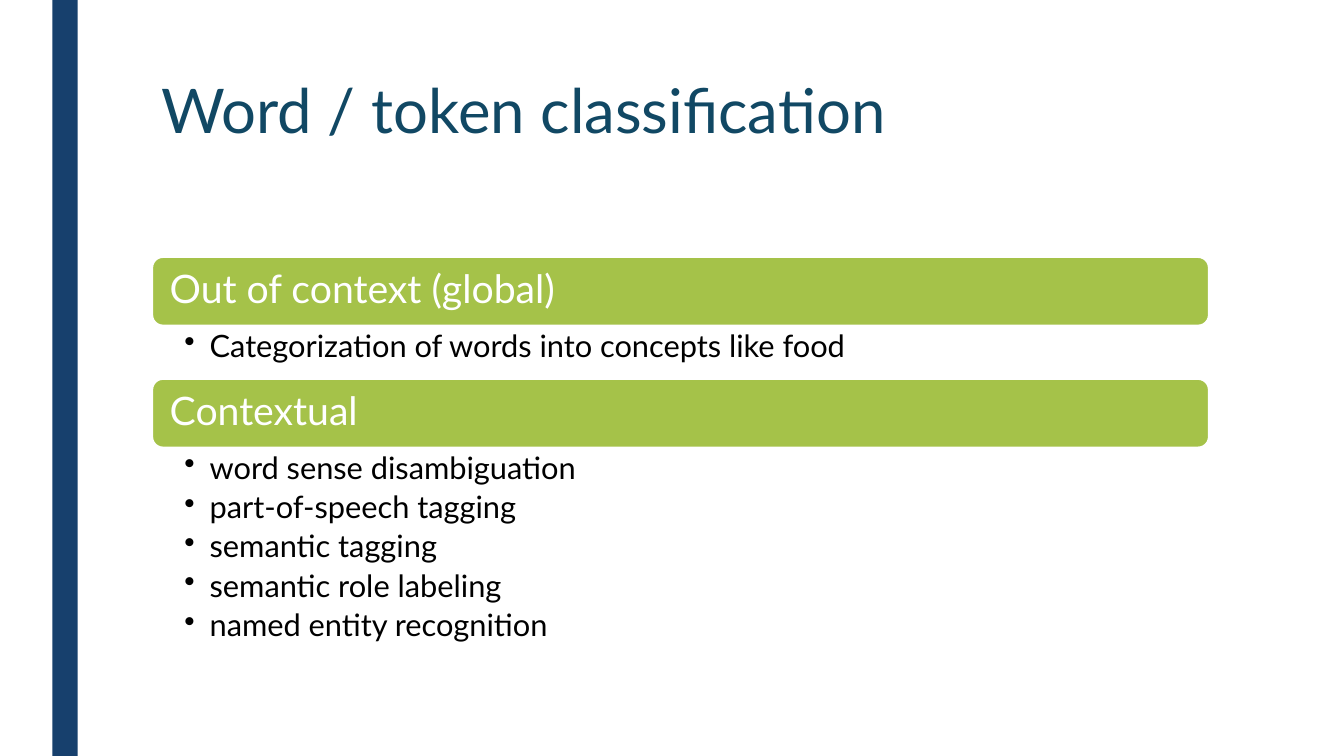
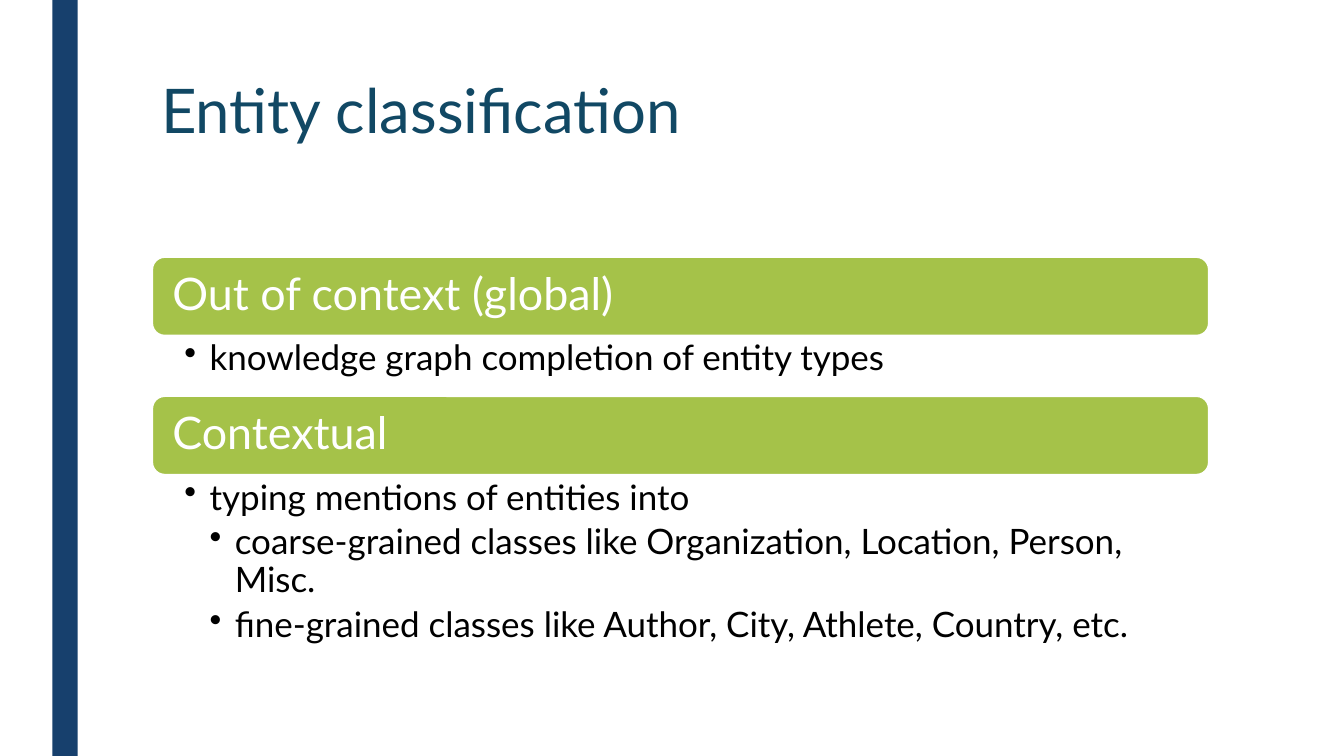
from dataclasses import dataclass

from lxml.etree import SubElement
from pptx import Presentation
from pptx.dml.color import RGBColor
from pptx.enum.shapes import MSO_SHAPE
from pptx.enum.text import MSO_ANCHOR, PP_ALIGN
from pptx.oxml.ns import qn
from pptx.util import Inches, Pt

# Shared style
FONT = "Lato"
NAVY, TEAL, GREEN = "17406D", "114864", "A5C249"
WHITE, BLACK = "FFFFFF", "000000"
LEFT, WIDTH = 1.5, 10.5
SECTIONS_TOP = 2.54
BULLET_INDENT = 0.25


@dataclass(frozen=True)
class Bullet:
    text: str
    level: int = 1


@dataclass(frozen=True)
class Section:
    heading: str
    bullets: list[Bullet]
    body_height: float


@dataclass(frozen=True)
class Topic:
    title: str
    sections: list[Section]
    heading_height: float
    heading_size: float
    heading_inset: float
    bullet_size: float
    bullet_right_inset: float


TOPICS = [
    Topic(
        "Word / token classification",
        [
            Section("Out of context (global)",
                    [Bullet("Categorization of words into concepts like food")], 0.51),
            Section("Contextual",
                    [Bullet("word sense disambiguation"),
                     Bullet("part-of-speech tagging"),
                     Bullet("semantic tagging"),
                     Bullet("semantic role labeling"),
                     Bullet("named entity recognition")], 1.93),
        ],
        heading_height=0.7, heading_size=28, heading_inset=0.15,
        bullet_size=22, bullet_right_inset=0.22,
    ),
    Topic(
        "Entity classification",
        [
            Section("Out of context (global)",
                    [Bullet("knowledge graph completion of entity types")], 0.58),
            Section("Contextual",
                    [Bullet("typing mentions of entities into"),
                     Bullet("coarse-grained classes like Organization, Location, Person, Misc.", 2),
                     Bullet("fine-grained classes like Author, City, Athlete, Country, etc.", 2)],
                    1.67),
        ],
        heading_height=0.8, heading_size=32, heading_inset=0.17,
        bullet_size=25, bullet_right_inset=0.25,
    ),
]


def rgb(color: str) -> RGBColor:
    return RGBColor.from_string(color)


def set_bullet(paragraph, level: int) -> None:
    paragraph.level = level
    properties = paragraph._p.get_or_add_pPr()
    properties.set("marL", str(Inches(BULLET_INDENT * level)))
    properties.set("indent", str(-Inches(BULLET_INDENT)))
    SubElement(properties, qn("a:buChar")).set("char", "•")


def write_text(frame, text: str, *, size: float, color: str, line_spacing: float = 0.9,
               space_after: float = 0, level: int = 0, first: bool = True) -> None:
    """Write one paragraph; a level above 0 makes it a bullet."""
    paragraph = frame.paragraphs[0] if first else frame.add_paragraph()
    paragraph.alignment = PP_ALIGN.LEFT
    paragraph.line_spacing = line_spacing
    paragraph.space_after = Pt(space_after)
    if level:
        set_bullet(paragraph, level)
    run = paragraph.add_run()
    run.text = text
    run.font.name = FONT
    run.font.size = Pt(size)
    run.font.color.rgb = rgb(color)


def set_frame(frame, left: float, top: float, right: float, bottom: float,
              anchor=MSO_ANCHOR.TOP):
    frame.word_wrap = True
    frame.vertical_anchor = anchor
    frame.margin_left, frame.margin_top = Inches(left), Inches(top)
    frame.margin_right, frame.margin_bottom = Inches(right), Inches(bottom)
    return frame


def add_panel(slide, kind, left: float, top: float, width: float, height: float,
              fill: str, outline: str | None = None):
    panel = slide.shapes.add_shape(kind, Inches(left), Inches(top), Inches(width), Inches(height))
    panel.shadow.inherit = False
    panel.fill.solid()
    panel.fill.fore_color.rgb = rgb(fill)
    if outline:
        panel.line.color.rgb = rgb(outline)
        panel.line.width = Pt(2.75)
    else:
        panel.line.fill.background()
    return panel


def add_text_area(slide, top: float, height: float):
    return slide.shapes.add_textbox(Inches(LEFT), Inches(top), Inches(WIDTH), Inches(height))


def add_section(slide, topic: Topic, section: Section, top: float) -> float:
    """Draw a heading bar with its bullets and return the bottom edge."""
    bar = add_panel(slide, MSO_SHAPE.ROUNDED_RECTANGLE, LEFT, top, WIDTH,
                    topic.heading_height, GREEN, WHITE)
    inset = topic.heading_inset
    heading = set_frame(bar.text_frame, inset, 0, inset, 0, MSO_ANCHOR.MIDDLE)
    write_text(heading, section.heading, size=topic.heading_size, color=WHITE)

    body_top = top + topic.heading_height
    area = add_text_area(slide, body_top, section.body_height)
    body = set_frame(area.text_frame, 0.33, 0.04, topic.bullet_right_inset, 0.04)
    for index, bullet in enumerate(section.bullets):
        write_text(body, bullet.text, size=topic.bullet_size, color=BLACK,
                   space_after=0.2 * topic.bullet_size, level=bullet.level, first=index == 0)
    return body_top + section.body_height


def add_topic(deck, topic: Topic) -> None:
    slide = deck.slides.add_slide(deck.slide_layouts[6])
    # Side band and title
    add_panel(slide, MSO_SHAPE.RECTANGLE, 0.52, 0, 0.25, 7.5, NAVY)
    title = set_frame(add_text_area(slide, 0.75, 1.62).text_frame, 0.1, 0.05, 0.1, 0.05)
    write_text(title, topic.title, size=44, color=TEAL, line_spacing=0.89)
    # Stacked sections
    top = SECTIONS_TOP
    for section in topic.sections:
        top = add_section(slide, topic, section, top)


def main() -> None:
    deck = Presentation()
    deck.slide_width, deck.slide_height = Inches(13.33), Inches(7.5)
    for topic in TOPICS:
        add_topic(deck, topic)
    deck.save("out.pptx")


if __name__ == "__main__":
    main()
